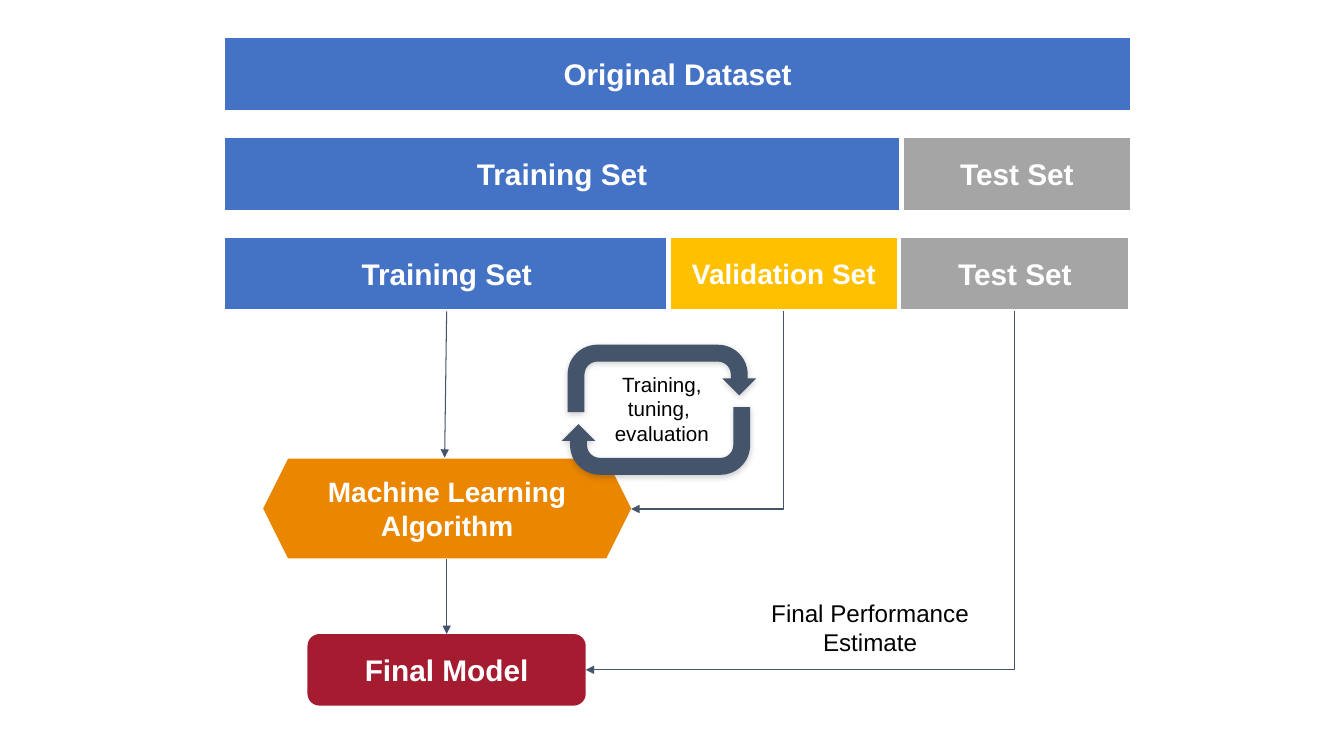
from lxml import etree
from pptx import Presentation
from pptx.dml.color import RGBColor
from pptx.enum.shapes import MSO_CONNECTOR, MSO_SHAPE
from pptx.enum.text import MSO_ANCHOR, PP_ALIGN
from pptx.oxml import parse_xml
from pptx.oxml.ns import nsdecls, qn
from pptx.util import Inches, Pt

RECTANGLE, ROUNDED = MSO_SHAPE.RECTANGLE, MSO_SHAPE.ROUNDED_RECTANGLE
HEXAGON, U_TURN = MSO_SHAPE.HEXAGON, MSO_SHAPE.U_TURN_ARROW
STRAIGHT, ELBOW = MSO_CONNECTOR.STRAIGHT, MSO_CONNECTOR.ELBOW
MIDDLE, CENTER = MSO_ANCHOR.MIDDLE, PP_ALIGN.CENTER
TOP, BOTTOM, RIGHT = 0, 2, 3  # connection sites of a rectangle

COLORS = {
    "blue": "4472C4", "gray": "A5A5A5", "yellow": "FFC000", "orange": "EA8600",
    "crimson": "A51C30", "slate": "44546A", "white": "FFFFFF", "black": "000000",
}


def color(name):
    return RGBColor.from_string(COLORS[name])


class Diagram:
    """Holds the style and the slide being drawn."""

    font_name = "Arial"
    inset = Inches(0.13)

    def __init__(self, slide):
        self.shapes = slide.shapes

    def set_text(self, shape, lines, size, text_color, bold):
        frame = shape.text_frame
        frame_format = {"word_wrap": True, "vertical_anchor": MIDDLE}
        for side in ("left", "top", "right", "bottom"):
            frame_format[f"margin_{side}"] = self.inset
        for name, value in frame_format.items():
            setattr(frame, name, value)
        frame.text = "\n".join(lines)
        for paragraph in frame.paragraphs:
            paragraph.alignment = CENTER
            font_format = {"name": self.font_name, "size": Pt(size), "bold": bold}
            for name, value in font_format.items():
                setattr(paragraph.font, name, value)
            paragraph.font.color.rgb = color(text_color)

    def shape(self, kind, box, fill):
        shape = self.shapes.add_shape(kind, *map(Inches, box))
        shape.shadow.inherit = False
        shape.fill.solid()
        shape.fill.fore_color.rgb = color(fill)
        shape.line.fill.background()
        return shape

    def block(self, kind, box, fill, text, size=21.3):
        block = self.shape(kind, box, fill)
        self.set_text(block, [text], size, "white", True)
        return block

    def bar(self, left, top, width, fill, text, size=21.3):
        bar = self.block(RECTANGLE, (left, top, width, 0.75), fill, text, size)
        bar.line.color.rgb = color("white")
        bar.line.width = Pt(3)
        return bar

    def label(self, box, lines, size):
        label = self.shapes.add_textbox(*map(Inches, box))
        self.set_text(label, lines, size, "black", False)

    def cycle_arrow(self, left, top, rotation):
        arrow = self.shape(U_TURN, (left, top, 1.87, 0.67), "slate")
        arrow.rotation = rotation
        for index, value in enumerate((0.25, 0.25, 0.25, 0.44, 0.75)):
            arrow.adjustments[index] = value
        effects = arrow._element.spPr.find(qn("a:effectLst"))
        effects.append(parse_xml(
            f'<a:outerShdw {nsdecls("a")} blurRad="{Pt(4.5)}" dist="{Pt(1.5)}" '
            'dir="5400000" rotWithShape="0"><a:srgbClr val="000000">'
            '<a:alpha val="20000"/></a:srgbClr></a:outerShdw>'))

    def arrow(self, kind, start, end, source=None, target=None):
        """source and target are (shape, connection site) pairs."""
        connector = self.shapes.add_connector(kind, *map(Inches, start + end))
        if source:
            connector.begin_connect(*source)
        if target:
            connector.end_connect(*target)
        connector.line.color.rgb = color("slate")
        connector.line.width = Pt(0.75)
        properties = connector._element.spPr
        line = properties.find(qn("a:ln"))
        etree.SubElement(line, qn("a:tailEnd"), type="triangle")
        etree.SubElement(properties, qn("a:effectLst"))
        if kind == ELBOW:
            self.bend_down_then_left(connector)

    def bend_down_then_left(self, connector):
        # One bend: a quarter turn of the box that spans the two ends
        left, top = connector.left, connector.top
        width, height = connector.width, connector.height
        turned = {
            "left": left + (width - height) // 2, "top": top + (height - width) // 2,
            "width": height, "height": width,
        }
        for name, value in turned.items():
            setattr(connector, name, value)
        properties = connector._element.spPr
        transform = properties.find(qn("a:xfrm"))
        transform.attrib.pop("flipH", None)
        transform.set("rot", "5400000")
        properties.find(qn("a:prstGeom")).set("prst", "bentConnector2")


def main():
    presentation = Presentation()
    presentation.slide_width = Inches(13.33)
    presentation.slide_height = Inches(7.5)
    diagram = Diagram(presentation.slides.add_slide(presentation.slide_layouts[6]))

    # Data splits: one row per stage
    left, part = 2.21, 2.29
    first, second, third = (0.36 + 0.99 * row for row in range(3))
    diagram.bar(left, first, 9.02, "blue", "Original Dataset")
    diagram.bar(left, second, 6.73, "blue", "Training Set")
    diagram.bar(8.94, second, part, "gray", "Test Set")
    training = diagram.bar(left, third, 4.44, "blue", "Training Set")

    # Algorithm and final model
    algorithm = diagram.block(
        HEXAGON, (2.61, 4.55, 3.65, 0.99), "orange", "Machine Learning Algorithm", 20)
    algorithm.adjustments[0] = 0.25
    model = diagram.block(ROUNDED, (3.05, 6.29, 2.76, 0.71), "crimson", "Final Model")

    # Tuning cycle
    diagram.cycle_arrow(5.63, 3.42, 0)
    diagram.cycle_arrow(5.57, 4.04, 180)
    diagram.label((5.78, 3.7, 1.57, 0.71), ["Training, tuning, ", "evaluation"], 14.7)

    # Held-out parts of the third row
    test = diagram.bar(8.92, third, part, "gray", "Test Set")
    validation = diagram.bar(6.63, third, part, "yellow", "Validation Set", 20)
    diagram.label((7.25, 5.87, 2.76, 0.71), ["Final Performance Estimate"], 17.3)

    # Flow
    diagram.arrow(STRAIGHT, (4.43, 3.1), (4.41, 4.54), source=(training, BOTTOM))
    diagram.arrow(STRAIGHT, (4.43, 5.55), (4.42, 6.3), target=(model, TOP))
    diagram.arrow(ELBOW, (10.07, 3.1), (5.81, 6.64), (test, BOTTOM), (model, RIGHT))
    diagram.arrow(ELBOW, (7.78, 3.1), (6.26, 5.05), source=(validation, BOTTOM))

    presentation.save("out.pptx")


if __name__ == "__main__":
    main()
